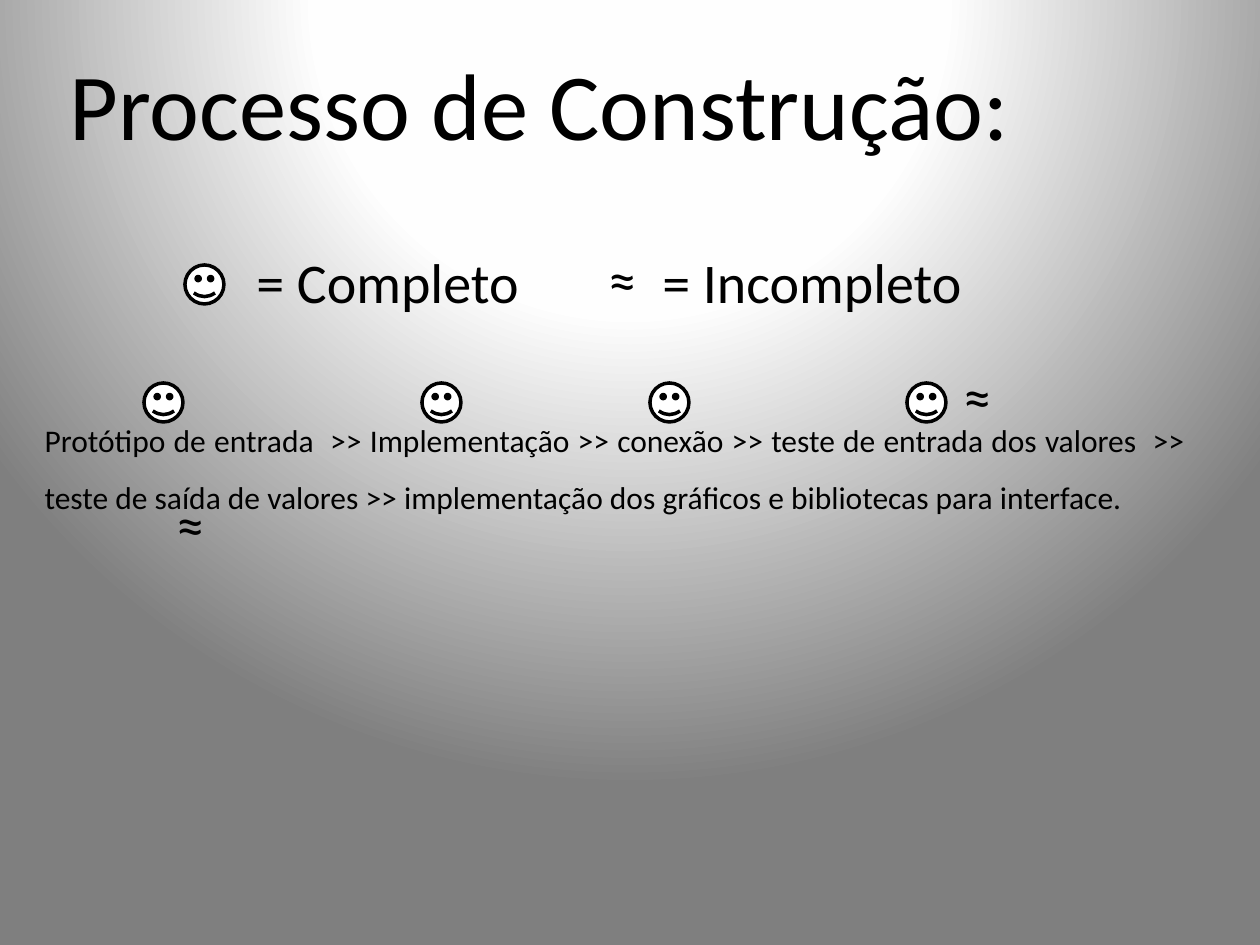
"""Build the slide on the construction process and its completed stages."""
from lxml import etree
from pptx import Presentation
from pptx.dml.color import RGBColor
from pptx.enum.shapes import MSO_SHAPE
from pptx.enum.text import MSO_ANCHOR, MSO_AUTO_SIZE, PP_ALIGN
from pptx.oxml.ns import qn
from pptx.util import Pt

SMILEY = MSO_SHAPE.SMILEY_FACE
MIDDLE, TOP = MSO_ANCHOR.MIDDLE, MSO_ANCHOR.TOP
NO_FIT, GROW = MSO_AUTO_SIZE.NONE, MSO_AUTO_SIZE.SHAPE_TO_FIT_TEXT
LEFT, CENTER, JUSTIFY = PP_ALIGN.LEFT, PP_ALIGN.CENTER, PP_ALIGN.JUSTIFY

SCALE = 914400 / 126
FONT = "Calibri"
COLORS = {"ink": "000000", "face": "FFFFFF"}
GRADIENT = [(0, "FFFFFF"), (40, "FEFEFE"), (100, "7F7F7F")]
GRADIENT_FOCUS = {"l": 50, "t": -80, "r": 50, "b": 180}

TITLE = "Processo de Construção:"
STAGES = (
    "Protótipo de entrada  >> Implementação >> conexão >> "
    "teste de entrada dos valores  >>  teste de saída de valores >> "
    "implementação dos gráficos e bibliotecas para interface."
)
FACE_SIZE = 39
STAGE_FACES_TOP = 383
FACES = [(185, 265)] + [(left, STAGE_FACES_TOP) for left in (144, 422, 650, 907)]
MARK_SIZE = (54, 28)
LABELS = [("≈", (left, top) + MARK_SIZE)
          for left, top in ((951, 355), (596, 238), (164, 483))]
LABELS += [("= Completo", (244, 241, 291, 81)),
           ("= Incompleto", (650, 241, 328, 81))]


def emu(pixels):
    return round(pixels * SCALE)


def color(name):
    return RGBColor.from_string(COLORS[name])


def write(box, text, size, align=LEFT, anchor=TOP):
    frame = box.text_frame
    frame.vertical_anchor = anchor
    para = frame.paragraphs[0]
    para.text = text
    para.alignment = align
    para.font.name, para.font.size = FONT, Pt(size)
    para.font.color.rgb = color("ink")
    return para


def fill_placeholder(box, place, text, size, align, anchor):
    box.left, box.top, box.width, box.height = map(emu, place)
    box.text_frame.auto_size = NO_FIT
    return write(box, text, size, align, anchor)


def paint_background(slide):
    fill = slide.background.fill
    fill.gradient()
    gradient = slide.background._cSld.find(".//" + qn("a:gradFill"))
    for child in list(gradient):
        gradient.remove(child)
    stops = etree.SubElement(gradient, qn("a:gsLst"))
    for position, value in GRADIENT:
        stop = etree.SubElement(stops, qn("a:gs"), pos=str(position * 1000))
        etree.SubElement(stop, qn("a:srgbClr"), val=value)
    course = etree.SubElement(gradient, qn("a:path"), path="circle")
    focus = {side: str(share * 1000) for side, share in GRADIENT_FOCUS.items()}
    etree.SubElement(course, qn("a:fillToRect"), focus)


def add_face(slide, left, top):
    face = slide.shapes.add_shape(
        SMILEY, emu(left), emu(top), emu(FACE_SIZE), emu(FACE_SIZE))
    face.shadow.inherit = False
    face.fill.solid()
    face.fill.fore_color.rgb = color("face")
    face.line.color.rgb = color("ink")
    face.line.width = Pt(2)


def add_label(slide, text, place):
    box = slide.shapes.add_textbox(*map(emu, place))
    box.text_frame.word_wrap = False
    box.text_frame.auto_size = GROW
    write(box, text, 32)


deck = Presentation()
deck.slide_width, deck.slide_height = emu(1260), emu(945)
page = deck.slides.add_slide(deck.slide_layouts[0])
paint_background(page)

fill_placeholder(page.shapes.title, (4, 1, 1071, 203), TITLE, 54, CENTER, MIDDLE)
stages = fill_placeholder(
    page.placeholders[1], (32, 396, 1174, 150), STAGES, 18, JUSTIFY, TOP)
stages.line_spacing = 1.5
stages.space_before = Pt(3.6)

for left, top in FACES:
    add_face(page, left, top)
for text, place in LABELS:
    add_label(page, text, place)

deck.save("out.pptx")
